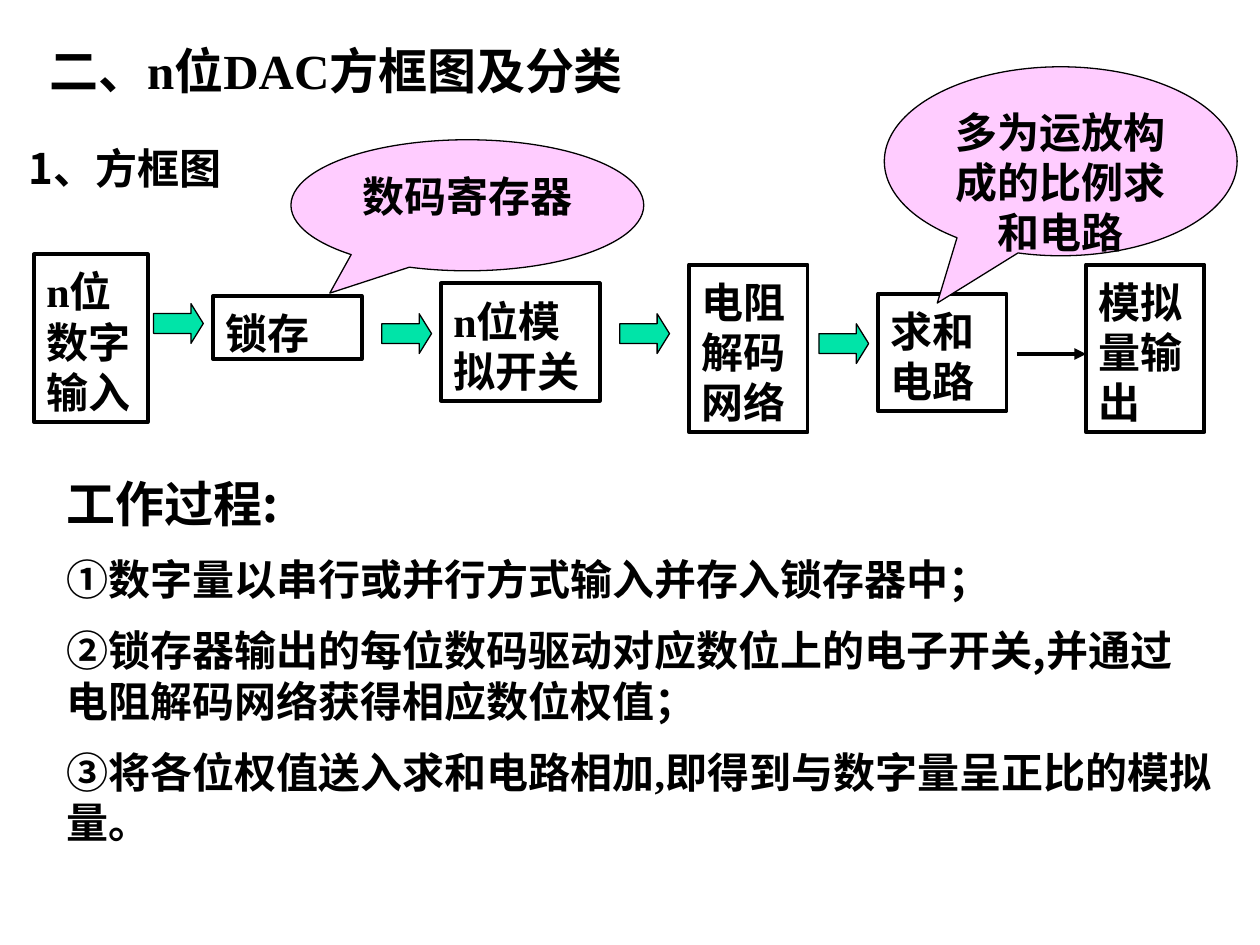
import pptx
import pptx.dml.color
import pptx.enum.dml
import pptx.enum.shapes
import pptx.enum.text
import pptx.oxml.ns
import pptx.util
import lxml.etree

Pt = pptx.util.Pt
SHAPES = pptx.enum.shapes.MSO_SHAPE
ALIGN = pptx.enum.text.PP_ALIGN
ANCHOR = pptx.enum.text.MSO_ANCHOR
SERIF, SANS = "Times New Roman", "Noto Sans CJK SC"


def color(hex_code):
    return pptx.dml.color.RGBColor.from_string(hex_code)


def add_xml(parent, tag, **attributes):
    return lxml.etree.SubElement(parent, pptx.oxml.ns.qn(tag), attributes)


class DiagramSlide:
    ink, block_fill, note_fill = "000000", "00E4A8", "FFCCFF"
    body_size, heading_size = 24, 28
    line_factor = 1.2

    def __init__(self, slide):
        self.slide = slide

    def place(self, shape, left, top, width, height):
        shape.left, shape.top = Pt(left), Pt(top)
        shape.width, shape.height = Pt(width), Pt(height)

    def set_text(self, shape, paragraphs, size, anchor=ANCHOR.TOP, align=ALIGN.LEFT):
        """Each paragraph is a list of (text, font) pairs."""
        frame = shape.text_frame
        frame.word_wrap = True
        frame.auto_size = pptx.enum.text.MSO_AUTO_SIZE.NONE
        frame.vertical_anchor = anchor
        frame.margin_left = frame.margin_right = Pt(7.2)
        # Exact line spacing lifts the text, so the insets lower it
        frame.margin_top, frame.margin_bottom = Pt(6.6), Pt(0.6)
        for index, pieces in enumerate(paragraphs):
            paragraph = frame.add_paragraph() if index else frame.paragraphs[0]
            paragraph.alignment = align
            paragraph.line_spacing = Pt(size * self.line_factor)
            paragraph.space_before = Pt(size / 2 if index else 0)
            for text, font_name in pieces:
                run = paragraph.add_run()
                run.text = text
                run.font.size = Pt(size)
                run.font.bold = True
                run.font.color.rgb = color(self.ink)
                run.font.name = font_name
                add_xml(run.font._element, "a:ea", typeface=SANS)

    def title(self, text, *box):
        heading = self.slide.shapes.title
        self.place(heading, *box)
        self.set_text(heading, [[(text, SERIF)]], self.heading_size, ANCHOR.BOTTOM)

    def text(self, paragraphs, size, *box):
        self.set_text(self.slide.shapes.add_textbox(*map(Pt, box)), paragraphs, size)

    def shape(self, kind, box, fill, line_width, adjustments=()):
        shape = self.slide.shapes.add_shape(kind, *map(Pt, box))
        shape.shadow.inherit = False
        if fill:
            shape.fill.solid()
            shape.fill.fore_color.rgb = color(fill)
        else:
            shape.fill.background()
        shape.line.color.rgb = color(self.ink)
        shape.line.width = Pt(line_width)
        for index, value in enumerate(adjustments):
            shape.adjustments[index] = value
        return shape

    def stage(self, text, font_name, *box):
        stage = self.shape(SHAPES.RECTANGLE, box, None, 2.25)
        self.set_text(stage, [[(text, font_name)]], self.body_size)

    def block_arrow(self, left, top):
        self.shape(SHAPES.RIGHT_ARROW, (left, top, 28.4, 22.7),
                   self.block_fill, 0.75, (0.5, 0.31))

    def callout(self, text, tip, *box):
        note = self.shape(SHAPES.OVAL_CALLOUT, box, self.note_fill, 0.75, tip)
        self.set_text(note, [[(text, SANS)]], self.body_size, align=ALIGN.CENTER)

    def line_arrow(self, x1, y1, x2, y2):
        arrow = self.slide.shapes.add_connector(
            pptx.enum.shapes.MSO_CONNECTOR.STRAIGHT, *map(Pt, (x1, y1, x2, y2)))
        arrow.line.color.rgb = color(self.ink)
        arrow.line.width = Pt(2.25)
        line_xml = arrow._element.spPr.find(pptx.oxml.ns.qn("a:ln"))
        add_xml(line_xml, "a:tailEnd", type="triangle")
        add_xml(arrow._element.spPr, "a:effectLst")


def main():
    deck = pptx.Presentation()
    deck.slide_width, deck.slide_height = Pt(720), Pt(540)
    page = DiagramSlide(deck.slides.add_slide(deck.slide_layouts[5]))

    # Headings
    page.title("二、n位DAC方框图及分类", 21, 6.5, 425, 51)
    page.text([[("1、方框图", SANS)]], page.body_size, 9.4, 75, 155, 46)

    # Stages of the converter, in signal order
    for stage in (
        ("n位数字输入", SERIF, 19.4, 145.4, 65, 95.8),
        ("锁存", SERIF, 121.7, 169.2, 85, 36),
        ("n位模拟开关", SERIF, 252, 162, 90.7, 67),
        ("电阻解码网络", SANS, 393.8, 151.2, 67.7, 95.8),
        ("求和电路", SANS, 501.8, 167.8, 73.4, 67),
        ("模拟量输出", SANS, 620.6, 151.2, 67.7, 95.8),
    ):
        page.stage(*stage)

    # Signal flow between stages
    for left, top in ((87.8, 173.5), (218.2, 179.3), (354.2, 179.3), (468, 185)):
        page.block_arrow(left, top)
    page.line_arrow(581, 202.3, 620.6, 202.3)

    # Working process
    page.text([[("工作过程:", SANS)]], page.heading_size, 31, 264.2, 266, 41)
    page.text([
        [("①", SERIF), ("数字量以串行或并行方式输入并存入锁存器中；", SANS)],
        [("②", SERIF), ("锁存器输出的每位数码驱动对应数位上的电子开关,"
                        "并通过电阻解码网络获得相应数位权值；", SANS)],
        [("③将各位权值送入求和电路相加,即得到与数字量呈正比的模拟量。", SERIF)],
    ], page.body_size, 31, 309.6, 669, 181)

    # Notes on the summing circuit and the latch
    page.callout("多为运放构成的比例求和电路", (-0.35, 0.75), 505.4, 38.2, 201.6, 108)
    page.callout("数码寄存器", (-0.39, 0.67), 166.3, 79.9, 201.6, 74.9)

    deck.save("out.pptx")


if __name__ == "__main__":
    main()
